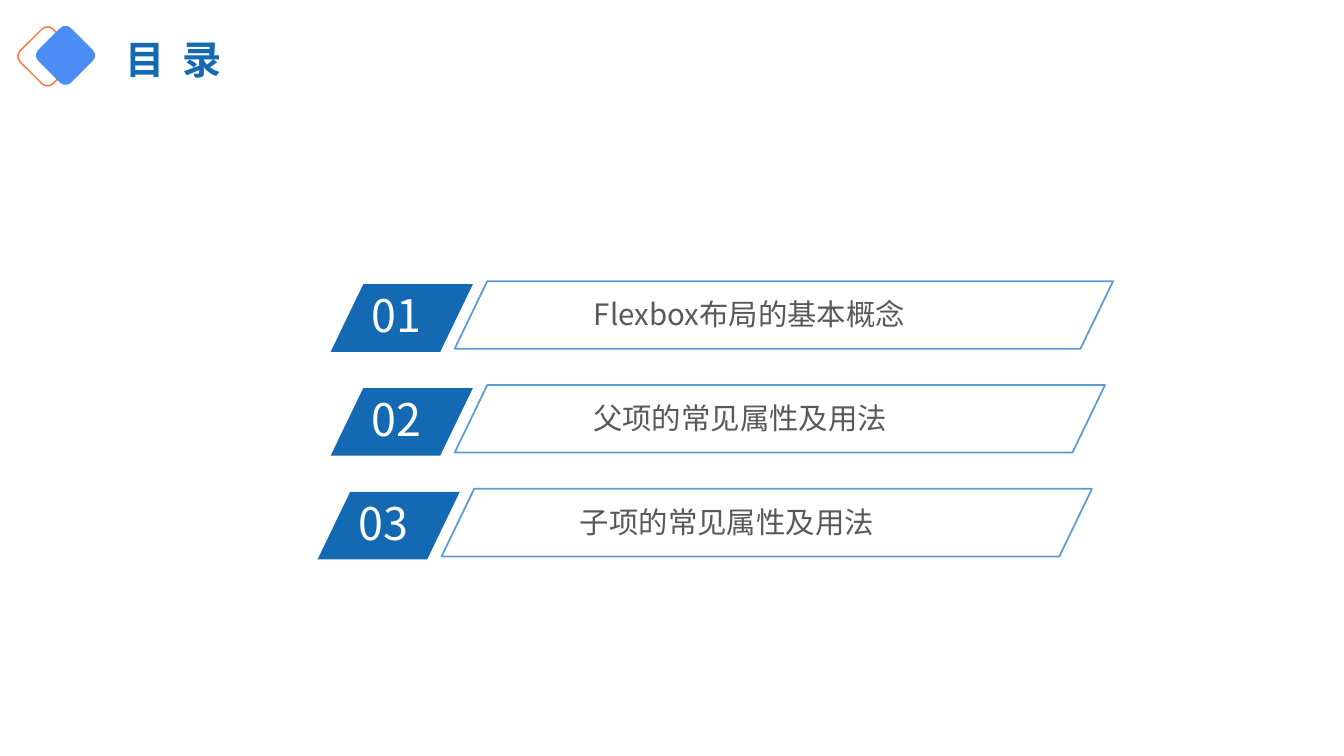
from lxml import etree
from pptx import Presentation
from pptx.dml.color import RGBColor
from pptx.enum.shapes import MSO_SHAPE
from pptx.enum.text import MSO_AUTO_SIZE, PP_ALIGN
from pptx.oxml.ns import qn
from pptx.util import Inches, Pt

ROUNDED = MSO_SHAPE.ROUNDED_RECTANGLE
SLANTED = MSO_SHAPE.PARALLELOGRAM
GROW = MSO_AUTO_SIZE.SHAPE_TO_FIT_TEXT
FONT = "Noto Sans CJK SC"
BLUE = "1369B2"

prs = Presentation()
prs.slide_width, prs.slide_height = Inches(13.33), Inches(7.5)
slide = prs.slides.add_slide(prs.slide_layouts[6])


def add_outline(kind, left, top, width, height, fill=None, line=None, weight=1):
    shape = slide.shapes.add_shape(kind, *map(Inches, (left, top, width, height)))
    shape.shadow.inherit = False
    if fill:
        shape.fill.solid()
        shape.fill.fore_color.rgb = RGBColor.from_string(fill)
    else:
        shape.fill.background()
    if line:
        shape.line.color.rgb = RGBColor.from_string(line)
        shape.line.width = Pt(weight)
    else:
        shape.line.fill.background()
    return shape


def add_text(text, left, top, width, height, size, color):
    """Add a one-paragraph text box; return its frame and paragraph."""
    frame = slide.shapes.add_textbox(*map(Inches, (left, top, width, height))).text_frame
    frame.word_wrap = True
    frame.auto_size = GROW
    paragraph = frame.paragraphs[0]
    paragraph.text = text
    font = paragraph.font
    font.size = Pt(size)
    font.color.rgb = RGBColor.from_string(color)
    font.name = FONT
    etree.SubElement(font._element, qn("a:ea")).set("typeface", FONT)
    return frame, paragraph


# Heading with its two overlapping diamonds
for left, top, fill, line in ((0.24, 0.33, None, "FD703B"), (0.42, 0.32, "4C8CF5", None)):
    add_outline(ROUNDED, left, top, 0.46, 0.46, fill, line).rotation = 45

_, heading = add_text("目 录", 1.15, 0.35, 4.44, 0.52, 28, BLUE)
heading.line_spacing = 0.9
heading.font.bold = True
heading.font._element.set("spc", "315")

# Contents: number tile, then a framed entry, one per row
FIRST_ROW, ROW_PITCH = 2.82, 1.03
TILE_WIDTH, ROW_HEIGHT, SLANT = 1.41, 0.67, 0.482
FRAME_OFFSET = 1.23
entries = (  # text, row left, frame width, text offset, text width
    ("Flexbox布局的基本概念", 3.28, 6.53, 1.69, 4.93),
    ("父项的常见属性及用法", 3.28, 6.45, 1.39, 5.34),
    ("子项的常见属性及用法", 3.15, 6.45, 1.39, 5.34),
)
for row, (entry, left, frame_width, text_offset, text_width) in enumerate(entries):
    top = FIRST_ROW + row * ROW_PITCH
    tile = add_outline(SLANTED, left, top, TILE_WIDTH, ROW_HEIGHT, fill=BLUE)
    entry_frame = add_outline(SLANTED, left + FRAME_OFFSET, top - 0.03, frame_width,
                              ROW_HEIGHT, line="5B9BD5", weight=1.25)
    tile.adjustments[0] = entry_frame.adjustments[0] = SLANT

    add_text(f"{row + 1:02}", left + 0.31, top - 0.01, 1.12, 0.64, 32, "FFFFFF")
    label, paragraph = add_text(entry, left + text_offset, top + 0.08, text_width, 0.43,
                                21, "595959")
    label.margin_left = label.margin_right = Inches(0.07)
    label.margin_top = label.margin_bottom = Inches(0.04)
    paragraph.alignment = PP_ALIGN.CENTER

prs.save("out.pptx")
